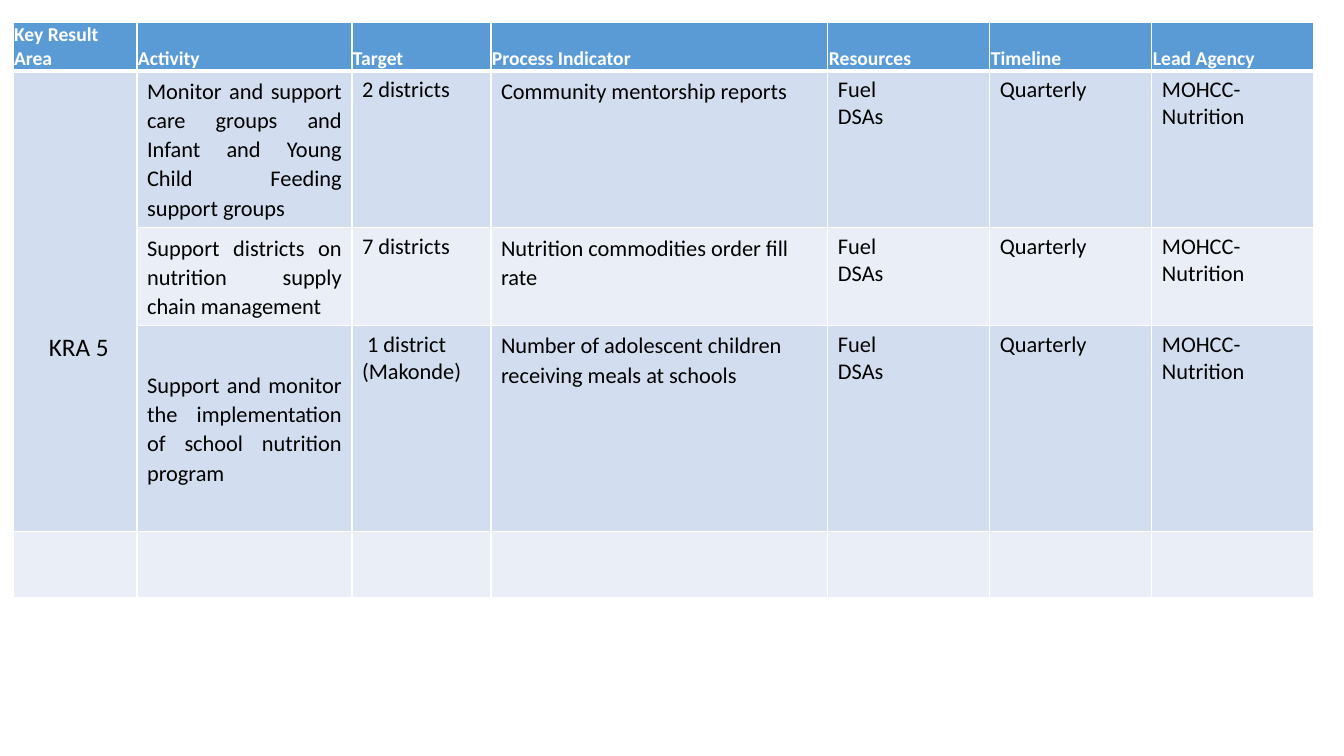
from pptx import Presentation
from pptx.dml.color import RGBColor
from pptx.enum import text
from pptx.oxml import parse_xml
from pptx.oxml.ns import nsdecls
from pptx.util import Emu, Pt

SCALE = 914400 / 100.8
WHITE, BLACK, HEAD = "FFFFFF", "000000", "5B9BD5"
BANDS = ("D2DEEF", "EAEFF7")

COLS = (124, 215, 139, 337, 162, 162, 162)
ROWS = (47, 157, 98, 206, 66)
TITLES = ("Key Result Area", "Activity", "Target", "Process Indicator",
          "Resources", "Timeline", "Lead Agency")
SHARED = ("Fuel\nDSAs", "Quarterly", "MOHCC-Nutrition")
PLANS = (
    ("Monitor and support care groups and Infant and Young Child Feeding support groups",
     "2 districts", "Community mentorship reports"),
    ("Support districts on nutrition supply chain management",
     "7 districts", "Nutrition commodities order fill rate"),
    ("Support and monitor the implementation of school nutrition program",
     " 1 district (Makonde)",
     "Number of adolescent children receiving meals at schools"),
)


def px(n):
    return Emu(round(n * SCALE))


def rgb(code):
    return RGBColor.from_string(code)


def write(frame, words, size=16, color=BLACK, bold=False, align=None, lead=None):
    """Fill a text frame, one paragraph for each line of words."""
    for i, line in enumerate(words.split("\n")):
        para = frame.paragraphs[0] if i == 0 else frame.add_paragraph()
        para.alignment = align
        para.line_spacing = lead
        font = para.font
        if line:
            run = para.add_run()
            run.text = line
            font = run.font
        font.name, font.size, font.bold = "Calibri", Pt(size), bold
        font.color.rgb = rgb(color)


class Page:
    def __init__(self, deck):
        self.slide = deck.slides.add_slide(deck.slide_layouts[6])

    def grid(self, x, y, cols, rows):
        shape = self.slide.shapes.add_table(
            len(rows), len(cols), px(x), px(y), px(sum(cols)), px(sum(rows)))
        table = shape.table
        for col, wide in zip(table.columns, cols):
            col.width = px(wide)
        for row, high in zip(table.rows, rows):
            row.height = px(high)
        return table

    def cell(self, cell, words, fill, base=1, **style):
        """Style one cell; base is the width of its bottom border."""
        props = cell._tc.get_or_add_tcPr()
        for side, wide in zip("LRTB", (1, 1, 1, base)):
            props.append(parse_xml(
                f'<a:ln{side} {nsdecls("a")} w="{Pt(wide)}"><a:solidFill>'
                f'<a:srgbClr val="{WHITE}"/></a:solidFill></a:ln{side}>'))
        cell.fill.solid()
        cell.fill.fore_color.rgb = rgb(fill)
        write(cell.text_frame, words, **style)

    def label(self, x, y, w, h, words, **style):
        frame = self.slide.shapes.add_textbox(px(x), px(y), px(w), px(h)).text_frame
        frame.word_wrap = True
        write(frame, words, **style)


def main():
    deck = Presentation()
    deck.slide_width, deck.slide_height = px(1344), px(756)
    page = Page(deck)
    table = page.grid(13, 22, COLS, ROWS)

    for c, title in enumerate(TITLES):
        cell = table.cell(0, c)
        page.cell(cell, title, HEAD, base=3, size=14, color=WHITE, bold=True)
        cell.vertical_anchor = text.MSO_ANCHOR.BOTTOM
        cell.margin_left = cell.margin_right = cell.margin_top = px(1)
        cell.margin_bottom = 0

    looks = {1: dict(align=text.PP_ALIGN.JUSTIFY, lead=1.07), 3: dict(lead=1.07)}
    for r, plan in enumerate(PLANS, 1):
        for c, words in enumerate(("",) + plan + SHARED):
            fill = BANDS[(r - 1) % 2] if c else BANDS[0]
            page.cell(table.cell(r, c), words, fill, **looks.get(c, {}))
    table.cell(3, 1).vertical_anchor = text.MSO_ANCHOR.MIDDLE
    table.cell(1, 0).merge(table.cell(3, 0))
    for c in range(len(COLS)):
        page.cell(table.cell(4, c), "", BANDS[1])

    page.label(39, 326, 95, 40, "KRA 5", size=18)
    deck.save("out.pptx")


if __name__ == "__main__":
    main()
